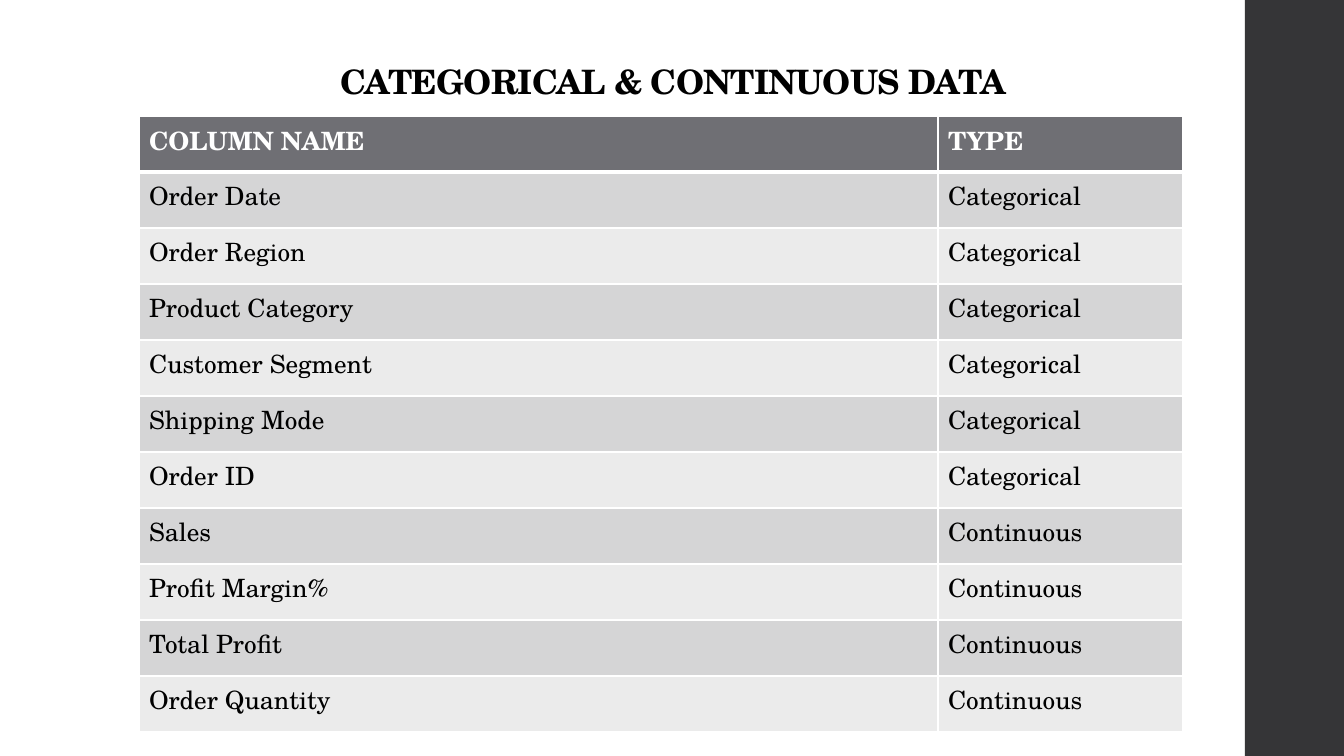
"""Build a slide that lists data columns by type."""
import pptx
import pptx.util
import pptx.dml.color
import pptx.enum.shapes
import pptx.enum.text
import pptx.oxml
import pptx.oxml.ns

TITLE = "CATEGORICAL & CONTINUOUS DATA"
HEAD = ("COLUMN NAME", "TYPE")
GROUPS = {
    "Categorical": ["Order Date", "Order Region", "Product Category",
                    "Customer Segment", "Shipping Mode", "Order ID"],
    "Continuous": ["Sales", "Profit Margin%", "Total Profit", "Order Quantity"],
}
COLORS = {"bar": "353537", "head": "6F6F74", "odd": "D5D5D6",
          "even": "EBEBEB", "white": "FFFFFF", "black": "000000"}
FONT = "TeX Gyre Schola"
WIDTH, HEIGHT = 1344, 756
BAR = (1245, 0, 99, 756)
TITLE_BOX = (139, 40, 1068, 66)
LEFT, TOP, ROW = 139, 116, 56
COLS = (799, 245)
SCALE = 12192000 / WIDTH


def px(num):
    return pptx.util.Emu(round(num * SCALE))


def rgb(name):
    return pptx.dml.color.RGBColor.from_string(COLORS[name])


def style(run, size, color, bold):
    for key, value in {"name": FONT, "size": pptx.util.Pt(size), "bold": bold}.items():
        setattr(run.font, key, value)
    run.font.color.rgb = rgb(color)


def place(shape, box):
    for key, value in zip(("left", "top", "width", "height"), box):
        setattr(shape, key, px(value))


def edge(cell, sides):
    props = cell._tc.get_or_add_tcPr()
    for spot, (side, points) in enumerate(sides.items()):
        line = pptx.oxml.parse_xml(
            f'<a:{side} {pptx.oxml.ns.nsdecls("a")} w="{points * 12700}">'
            f'<a:solidFill><a:srgbClr val="{COLORS["white"]}"/></a:solidFill></a:{side}>')
        props.insert(spot, line)


def add_bar(slide):
    bar = slide.shapes.add_shape(pptx.enum.shapes.MSO_SHAPE.RECTANGLE, *map(px, BAR))
    bar.shadow.inherit = False
    bar.fill.solid()
    bar.fill.fore_color.rgb = rgb("bar")
    bar.line.fill.background()


def add_title(slide):
    title = slide.shapes.title
    place(title, TITLE_BOX)
    frame = title.text_frame
    frame.text = TITLE
    for key, value in {"auto_size": pptx.enum.text.MSO_AUTO_SIZE.NONE, "word_wrap": True,
                       "vertical_anchor": pptx.enum.text.MSO_ANCHOR.BOTTOM}.items():
        setattr(frame, key, value)
    para = frame.paragraphs[0]
    para.alignment = pptx.enum.text.PP_ALIGN.CENTER
    style(para.runs[0], 24, "black", True)
    para.runs[0].font._element.set("spc", "-50")


def add_grid(slide):
    rows = [HEAD] + [(name, kind) for kind, names in GROUPS.items() for name in names]
    box = (LEFT, TOP, sum(COLS), ROW * len(rows))
    grid = slide.shapes.add_table(len(rows), len(COLS), *map(px, box)).table
    for col, width in zip(grid.columns, COLS):
        col.width = px(width)
    for r, texts in enumerate(rows):
        grid.rows[r].height = px(ROW)
        fill = "head" if r == 0 else "odd" if r % 2 else "even"
        sides = {"lnL": 1, "lnR": 1, "lnT": 3 if r == 1 else 1, "lnB": 3 if r == 0 else 1}
        for c, text in enumerate(texts):
            cell = grid.cell(r, c)
            cell.text = text
            style(cell.text_frame.paragraphs[0].runs[0], 18,
                  "black" if r else "white", r == 0)
            cell.fill.solid()
            cell.fill.fore_color.rgb = rgb(fill)
            edge(cell, sides)


def main():
    deck = pptx.Presentation()
    deck.slide_width, deck.slide_height = px(WIDTH), px(HEIGHT)
    slide = deck.slides.add_slide(deck.slide_layouts[5])
    add_bar(slide)
    add_title(slide)
    add_grid(slide)
    deck.save("out.pptx")


if __name__ == "__main__":
    main()
